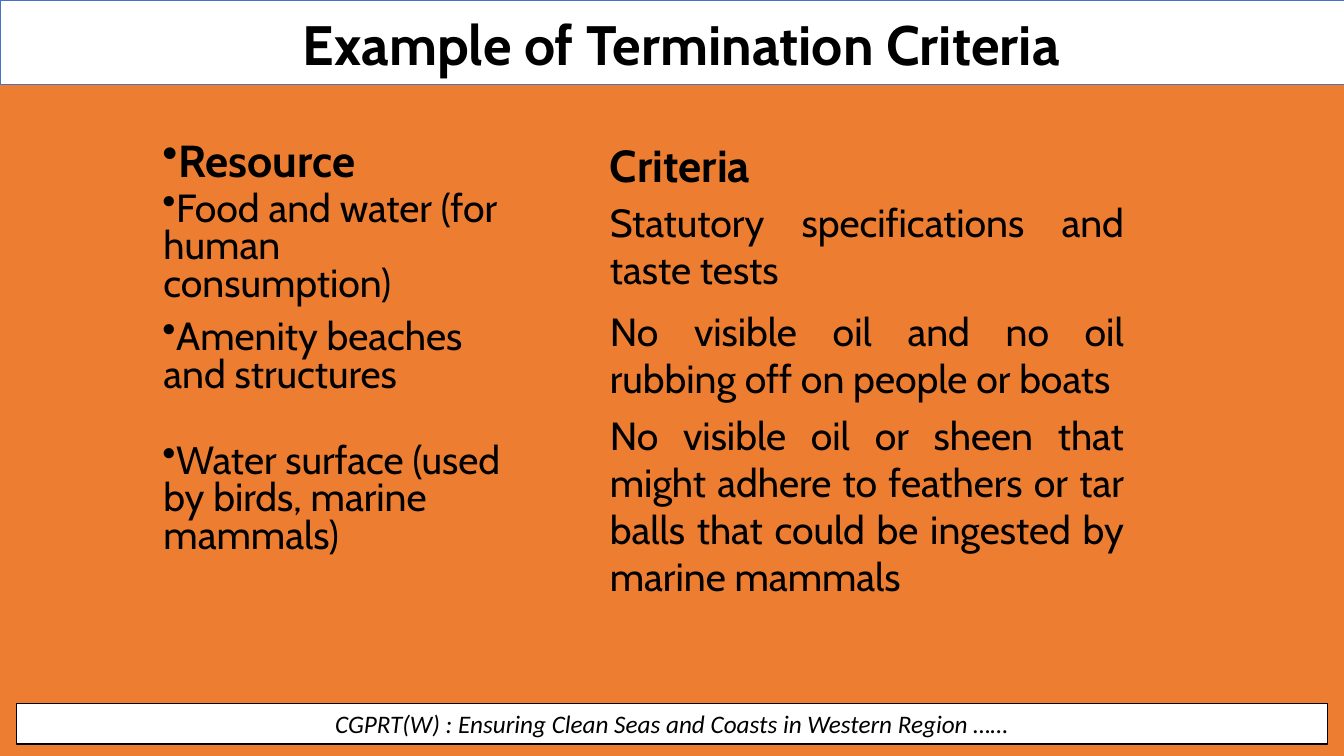
"""Builds a slide that pairs oil spill resources with their termination criteria."""
from lxml.etree import SubElement
from pptx import Presentation
from pptx.dml.color import RGBColor
from pptx.enum.shapes import MSO_SHAPE
from pptx.enum.text import MSO_ANCHOR, PP_ALIGN
from pptx.oxml.ns import qn
from pptx.util import Cm, Pt

COLOURS = {"orange": "ED7D31", "white": "FFFFFF", "blue": "4472C4", "black": "000000"}


class SlideBuilder:
    heading_font = "Cabin"
    footer_font = "Calibri"

    def __init__(self, deck):
        self.page = deck.slides.add_slide(deck.slide_layouts[6])

    def colour(self, name):
        return RGBColor.from_string(COLOURS[name])

    def background(self, name):
        fill = self.page.background.fill
        fill.solid()
        fill.fore_color.rgb = self.colour(name)

    def bar(self, left, top, width, height, line, weight):
        box = self.page.shapes.add_shape(
            MSO_SHAPE.RECTANGLE, Cm(left), Cm(top), Cm(width), Cm(height))
        box.shadow.inherit = False
        box.fill.solid()
        box.fill.fore_color.rgb = self.colour("white")
        box.line.color.rgb = self.colour(line)
        box.line.width = Pt(weight)
        return box.text_frame

    def text_box(self, left, top, width, height, inset=None):
        box = self.page.shapes.add_textbox(Cm(left), Cm(top), Cm(width), Cm(height))
        frame = box.text_frame
        frame.word_wrap = True
        if inset is not None:
            frame.margin_left = frame.margin_right = Cm(inset)
            frame.margin_top = frame.margin_bottom = Cm(inset)
        return frame

    def span(self, para, text, size, bold=False, italic=False, font=heading_font):
        span = para.add_run()
        span.text = text
        span.font.name = font
        span.font.size = Pt(size)
        span.font.bold = bold
        span.font.italic = italic
        span.font.color.rgb = self.colour("black")

    def centred_line(self, frame, text, size, **style):
        frame.word_wrap = True
        frame.vertical_anchor = MSO_ANCHOR.MIDDLE
        para = frame.paragraphs[0]
        para.alignment = PP_ALIGN.CENTER
        self.span(para, text, size, **style)
        return para

    def column(self, frame, heading, items, align, spacing=None, bullet=None):
        for index, (text, gap) in enumerate([(heading, 0), *items]):
            para = frame.paragraphs[0] if index == 0 else frame.add_paragraph()
            properties = para._p.get_or_add_pPr()
            properties.set("marL", str(Cm(0.03)))
            if bullet:
                properties.set("indent", str(-Cm(0.64)))
                SubElement(properties, qn("a:buChar"), char=bullet)
            para.alignment = align
            if spacing:
                para.line_spacing = spacing
            if gap:
                para.space_before = Pt(gap)
            self.span(para, text, 28 if index else 32, bold=index == 0)


def main():
    deck = Presentation()
    deck.slide_width, deck.slide_height = Cm(33.87), Cm(19.05)
    builder = SlideBuilder(deck)
    builder.background("orange")
    builder.bar(0, 0, 33.87, 2.13, "blue", 0.5)

    criteria = builder.text_box(15.34, 3.48, 12.98, 12.93, inset=0)
    builder.column(criteria, "Criteria", [
        ("Statutory specifications and taste tests", 4.4),
        ("No visible oil and no oil rubbing off on people or boats", 11),
        ("No visible oil or sheen that might adhere to feathers or tar balls "
         "that could be ingested by marine mammals", 7),
    ], PP_ALIGN.JUSTIFY)

    resources = builder.text_box(3.84, 3.48, 9.3, 11.81)
    builder.column(resources, "Resource", [
        ("Food and water (for human consumption)", 4.4),
        ("Amenity beaches and structures", 10.8),
        ("Water surface (used by birds, marine mammals)", 34.5),
    ], PP_ALIGN.LEFT, spacing=0.8, bullet="•")

    title = builder.text_box(3.76, 0.25, 26.82, 1.88)
    heading = builder.centred_line(title, "Example of Termination Criteria", 39.6, bold=True)
    heading.line_spacing = 0.9

    footer = builder.bar(0.41, 17.73, 33.05, 1.02, "black", 0.75)
    builder.centred_line(
        footer, "CGPRT(W) : Ensuring Clean Seas and Coasts in Western Region ……",
        18, italic=True, font=builder.footer_font)
    deck.save("out.pptx")


if __name__ == "__main__":
    main()
